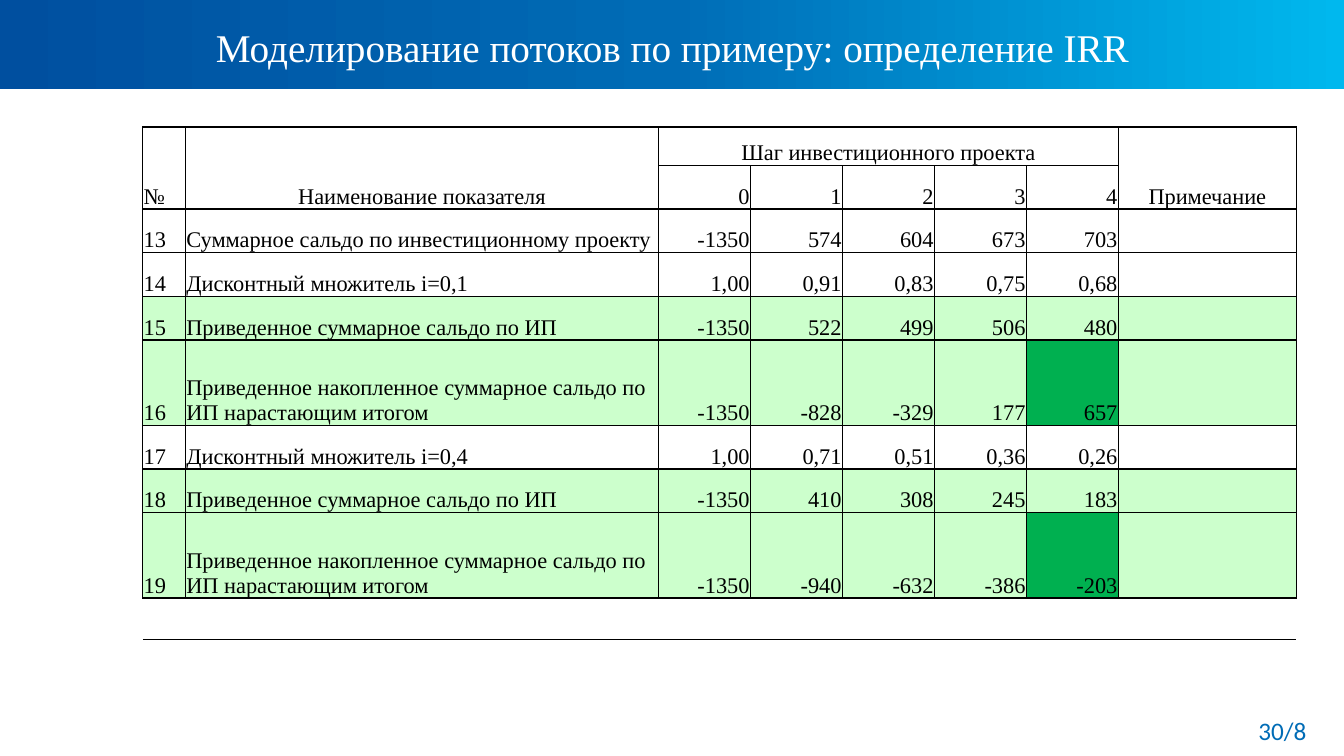
"""Build a slide with the cash-flow table used to determine the IRR."""
from copy import deepcopy
from dataclasses import dataclass

from lxml import etree
from pptx import Presentation
from pptx.dml.color import RGBColor
from pptx.enum.shapes import MSO_SHAPE
from pptx.enum.text import MSO_ANCHOR, MSO_AUTO_SIZE, PP_ALIGN
from pptx.oxml.ns import qn
from pptx.util import Pt

LEFT, CENTER, RIGHT = PP_ALIGN.LEFT, PP_ALIGN.CENTER, PP_ALIGN.RIGHT
TOP, BOTTOM = MSO_ANCHOR.TOP, MSO_ANCHOR.BOTTOM
NO_AUTOFIT = MSO_AUTO_SIZE.NONE
RECTANGLE = MSO_SHAPE.RECTANGLE
TITLE_ONLY = 5
PLAIN_TABLE_STYLE = "{2D5ABB26-0587-4C30-8999-92F81FD0307C}"


@dataclass(frozen=True)
class Theme:
    serif: str = "Times New Roman"
    sans: str = "Calibri"
    title_size: float = 28
    table_size: float = 16
    page_size: float = 18
    white: str = "FFFFFF"
    black: str = "000000"
    blue: str = "006CB6"
    banner: tuple = ((0, "004F9F"), (0.5, "006CB6"), (1, "00B8EE"))
    pale_green: str = "CCFFCC"
    green: str = "00B050"
    thin: float = 0.5
    thick: float = 1


@dataclass(frozen=True)
class Indicator:
    number: str
    name: str
    values: tuple
    shaded: bool = False
    final_marked: bool = False


THEME = Theme()
BALANCE = "Приведенное суммарное сальдо по ИП"
CUMULATIVE = "Приведенное накопленное суммарное сальдо по ИП нарастающим итогом"
INDICATORS = (
    Indicator("13", "Суммарное сальдо по инвестиционному проекту",
              ("-1350", "574", "604", "673", "703")),
    Indicator("14", "Дисконтный множитель i=0,1",
              ("1,00", "0,91", "0,83", "0,75", "0,68")),
    Indicator("15", BALANCE, ("-1350", "522", "499", "506", "480"), True),
    Indicator("16", CUMULATIVE, ("-1350", "-828", "-329", "177", "657"), True, True),
    Indicator("17", "Дисконтный множитель i=0,4",
              ("1,00", "0,71", "0,51", "0,36", "0,26")),
    Indicator("18", BALANCE, ("-1350", "410", "308", "245", "183"), True),
    Indicator("19", CUMULATIVE, ("-1350", "-940", "-632", "-386", "-203"), True, True),
)
HEADER_ROWS, SPARE_ROWS = 2, 2
STEPS = range(2, 7)
NOTE = 7
COLUMN_WIDTHS = [30.5, 338] + [65.7] * len(STEPS) + [127.2]
ROW_HEIGHTS = ([27.4, 31.2] + [61 if item.final_marked else 31.2 for item in INDICATORS]
               + [29.5] * SPARE_ROWS)


def apply(target, values: dict) -> None:
    for attribute, value in values.items():
        setattr(target, attribute, value)


def write(frame, text: str, align, font: str, size: float, color: str) -> None:
    paragraph = frame.paragraphs[0]
    paragraph.alignment = align
    run = paragraph.add_run()
    run.text = text
    apply(run.font, {"name": font, "size": Pt(size)})
    run.font.color.rgb = RGBColor.from_string(color)


def add_banner(slide) -> None:
    banner = slide.shapes.add_shape(RECTANGLE, 0, 0, Pt(960), Pt(63.5))
    banner.shadow.inherit = False
    banner.line.fill.background()
    banner.fill.gradient()
    banner.fill.gradient_angle = 0
    stops = banner._element.spPr.find(".//" + qn("a:gsLst"))
    stops.append(deepcopy(stops[0]))
    for stop, (position, color) in zip(banner.fill.gradient_stops, THEME.banner):
        stop.position = position
        stop.color.rgb = RGBColor.from_string(color)
    slide.shapes._spTree.insert(2, banner._element)


def add_title(slide, text: str) -> None:
    title = slide.shapes.title
    apply(title, {"left": Pt(26.6), "top": Pt(9.4), "width": Pt(907.2), "height": Pt(54.7)})
    apply(title.text_frame, {"auto_size": NO_AUTOFIT, "vertical_anchor": TOP,
                             "word_wrap": True, "margin_top": Pt(7)})
    title.text_frame.paragraphs[0].line_spacing = 1.0
    write(title.text_frame, text, CENTER, THEME.serif, THEME.title_size, THEME.white)


def add_page_number(slide, text: str) -> None:
    page = slide.shapes.add_textbox(Pt(875.5), Pt(507.6), Pt(64.8), Pt(28.8))
    page.text_frame.word_wrap = True
    write(page.text_frame, text, RIGHT, THEME.sans, THEME.page_size, THEME.blue)


def add_border(cell, side: str, width: float) -> None:
    line = etree.SubElement(cell._tc.get_or_add_tcPr(), qn(f"a:ln{side}"), w=str(Pt(width)))
    fill = etree.SubElement(line, qn("a:solidFill"))
    etree.SubElement(fill, qn("a:srgbClr"), val=THEME.black)


def format_cell(cell, row: int, column: int) -> None:
    apply(cell, {"vertical_anchor": BOTTOM, "margin_left": Pt(0.7), "margin_right": Pt(0.7),
                 "margin_top": Pt(0.7), "margin_bottom": 0})
    item_index = row - HEADER_ROWS
    in_steps = column in STEPS
    thin, thick = THEME.thin, THEME.thick
    if item_index < len(INDICATORS):
        add_border(cell, "L", thick if column == 0 else thin)
        add_border(cell, "R", thick if column == NOTE else thin)
        add_border(cell, "T", thin if row == 1 and in_steps else thick)
        add_border(cell, "B", thin if row == 0 and in_steps else thick)
    elif item_index == len(INDICATORS):
        add_border(cell, "T", thick)
    item = INDICATORS[item_index] if 0 <= item_index < len(INDICATORS) else None
    if item and item.shaded:
        marked = item.final_marked and column == STEPS[-1]
        cell.fill.solid()
        cell.fill.fore_color.rgb = RGBColor.from_string(
            THEME.green if marked else THEME.pale_green)
    else:
        cell.fill.background()


def add_flow_table(slide) -> None:
    frame = slide.shapes.add_table(len(ROW_HEIGHTS), len(COLUMN_WIDTHS), Pt(102), Pt(90.7),
                                   Pt(sum(COLUMN_WIDTHS)), Pt(sum(ROW_HEIGHTS)))
    table = frame.table
    apply(table, {"first_row": False, "horz_banding": False})
    table._tbl.tblPr.find(qn("a:tableStyleId")).text = PLAIN_TABLE_STYLE
    for column, width in zip(table.columns, COLUMN_WIDTHS):
        column.width = Pt(width)
    for row, height in zip(table.rows, ROW_HEIGHTS):
        row.height = Pt(height)
    for row in range(len(ROW_HEIGHTS)):
        for column in range(len(COLUMN_WIDTHS)):
            format_cell(table.cell(row, column), row, column)
    for column in (0, 1, NOTE):
        table.cell(0, column).merge(table.cell(1, column))
    table.cell(0, STEPS[0]).merge(table.cell(0, STEPS[-1]))

    entries = [(0, 0, "№", LEFT), (0, 1, "Наименование показателя", CENTER),
               (0, STEPS[0], "Шаг инвестиционного проекта", CENTER),
               (0, NOTE, "Примечание", CENTER)]
    entries += [(1, column, str(step), RIGHT) for step, column in enumerate(STEPS)]
    for row, item in enumerate(INDICATORS, HEADER_ROWS):
        entries += [(row, 0, item.number, LEFT), (row, 1, item.name, LEFT)]
        entries += [(row, column, value, RIGHT) for column, value in zip(STEPS, item.values)]
    for row, column, text, align in entries:
        write(table.cell(row, column).text_frame, text, align,
              THEME.serif, THEME.table_size, THEME.black)


def main() -> None:
    deck = Presentation()
    apply(deck, {"slide_width": Pt(960), "slide_height": Pt(540)})
    slide = deck.slides.add_slide(deck.slide_layouts[TITLE_ONLY])
    add_banner(slide)
    add_title(slide, "Моделирование потоков по примеру: определение IRR")
    add_flow_table(slide)
    add_page_number(slide, "30/8")
    deck.save("out.pptx")


if __name__ == "__main__":
    main()
